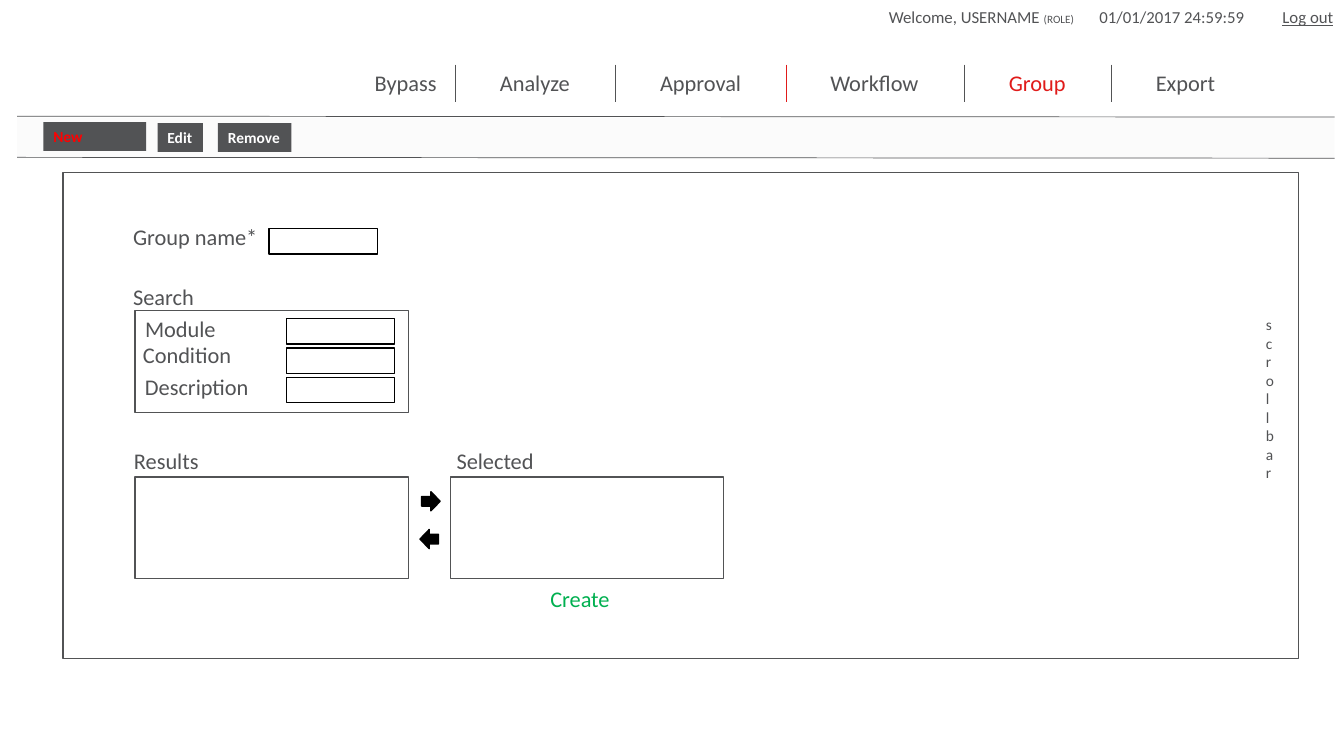
from pptx import Presentation
from pptx.dml.color import RGBColor
from pptx.enum import shapes, text
from pptx.oxml import parse_xml
from pptx.oxml.ns import nsdecls, qn
from pptx.util import Pt

HUE = {"gray": "525355", "red": "E01B1A", "hot": "FF0000", "green": "00B050",
       "band": "FBFBFB", "white": "FFFFFF", "black": "000000"}
KIND = shapes.MSO_SHAPE

deck = Presentation()
deck.slide_width, deck.slide_height = Pt(960), Pt(540)
slide = deck.slides.add_slide(deck.slide_layouts[6])


def draw(x, y, wide, high, kind=KIND.RECTANGLE, fill=None, line=None):
    item = slide.shapes.add_shape(kind, Pt(x), Pt(y), Pt(wide), Pt(high))
    item.shadow.inherit = False
    if fill:
        item.fill.solid()
        item.fill.fore_color.rgb = RGBColor.from_string(HUE[fill])
    else:
        item.fill.background()
    if line:
        item.line.color.rgb = RGBColor.from_string(HUE[line])
        item.line.width = Pt(1)
    else:
        item.line.fill.background()
    return item


def write(runs, x, y, wide, high=26.6, size=16, hue="gray", bold=False,
          fill=None, wrap=False, tabs=(), turn=None):
    """Place text; runs is a string or a list of (words, size, underline)."""
    if fill:
        box = draw(x, y, wide, high, fill=fill)
    else:
        box = slide.shapes.add_textbox(Pt(x), Pt(y), Pt(wide), Pt(high))
    frame = box.text_frame
    frame.word_wrap = wrap
    frame.auto_size = text.MSO_AUTO_SIZE.SHAPE_TO_FIT_TEXT
    frame.vertical_anchor = text.MSO_ANCHOR.TOP
    if turn:
        frame._txBody.find(qn("a:bodyPr")).set("vert", turn)
    para = frame.paragraphs[0]
    para.alignment = text.PP_ALIGN.LEFT
    if tabs:
        stops = "".join(f'<a:tab pos="{Pt(stop)}" algn="l"/>' for stop in tabs)
        para._p.get_or_add_pPr().append(
            parse_xml(f'<a:tabLst {nsdecls("a")}>{stops}</a:tabLst>'))
    for words, points, under in [(runs, size, None)] if isinstance(runs, str) else runs:
        run = para.add_run()
        run.text = words
        run.font.name = "Calibri"
        run.font.size = Pt(points)
        run.font.bold = bold
        run.font.underline = under
        run.font.color.rgb = RGBColor.from_string(HUE[hue])


# Header
write([("Welcome, USERNAME ", 12, None), ("(ROLE)\t", 8, None),
       ("01/01/2017 24:59:59\t", 12, None), ("Log out", 12, True)],
      627.8, 1.4, 340, 21.6, wrap=True, tabs=(150.5, 281.2))

# Menu
for name, x, wide in [("Bypass", 260.6, 59), ("Analyze", 350, 65),
                      ("Approval", 464.4, 73.4), ("Workflow", 586, 78.5),
                      ("Group", 713.5, 55.4), ("Export", 818.6, 57.6)]:
    write(name, x, 46.1, wide, hue="red" if name == "Group" else "gray")

# Menu dividers and the two rules of the toolbar
draw(12.2, 84.2, 941, 28.8, fill="band")
rules = [(x, 46.1, x, 72.7, "red" if x == 561.6 else "gray")
         for x in (325.4, 439.2, 561.6, 689, 794.2)]
rules += [(12.2, y, 953.3, y + 0.6, "gray") for y in (83, 112.4)]
for x, y, right, low, hue in rules:
    rule = slide.shapes.add_connector(
        shapes.MSO_CONNECTOR.STRAIGHT, Pt(x), Pt(y), Pt(right), Pt(low))
    rule.line.color.rgb = RGBColor.from_string(HUE[hue])
    rule.line.width = Pt(0.5)
    rule._element.spPr.append(parse_xml(f'<a:effectLst {nsdecls("a")}/>'))

# Toolbar buttons
for name, x, y, wide, hue in [("New", 31, 87.2, 73.4, "hot"),
                              ("Edit", 112.5, 88, 32.5, "white"),
                              ("Remove", 155.7, 88, 52.4, "white")]:
    write(name, x, y, wide, 20.6, size=11, hue=hue, bold=True,
          fill="gray", wrap=name == "New")

# Page frame, search panel and the two lists
draw(44.9, 123.3, 882.7, 347, line="gray")
for x, y in [(96.5, 221.8), (96.5, 340.6), (321.8, 340.6)]:
    draw(x, y, 195.1, 72.7, line="gray")
write("scrollbar", 897.1, 221.8, 30.2, 149.8, size=11, turn="wordArtVert")

# Form labels
for name, x, y, wide in [("Group name*", 88, 156.2, 104.4), ("Search", 88, 198.7, 58.3),
                         ("Module", 96.5, 221.8, 65.5), ("Condition", 95, 240.5, 78.5),
                         ("Description", 96.5, 262.8, 89.3), ("Results", 88.6, 316.1, 61.2),
                         ("Selected", 319, 316.1, 70.6)]:
    write(name, x, y, wide)
write("Create", 386, 414.7, 57.6, hue="green")

# Entry fields
for x, y in [(192.2, 163.4)] + [(204.5, 227.5 + 21 * row) for row in range(3)]:
    draw(x, y, 77.4, 18.2, fill="white", line="black")

# Arrows that move items between the lists
for x, y, angle in [(301.2, 351.2, 0), (300, 378.2, 180)]:
    draw(x, y, 13.2, 13.7, KIND.RIGHT_ARROW, "black", "black").rotation = angle

deck.save("out.pptx")
